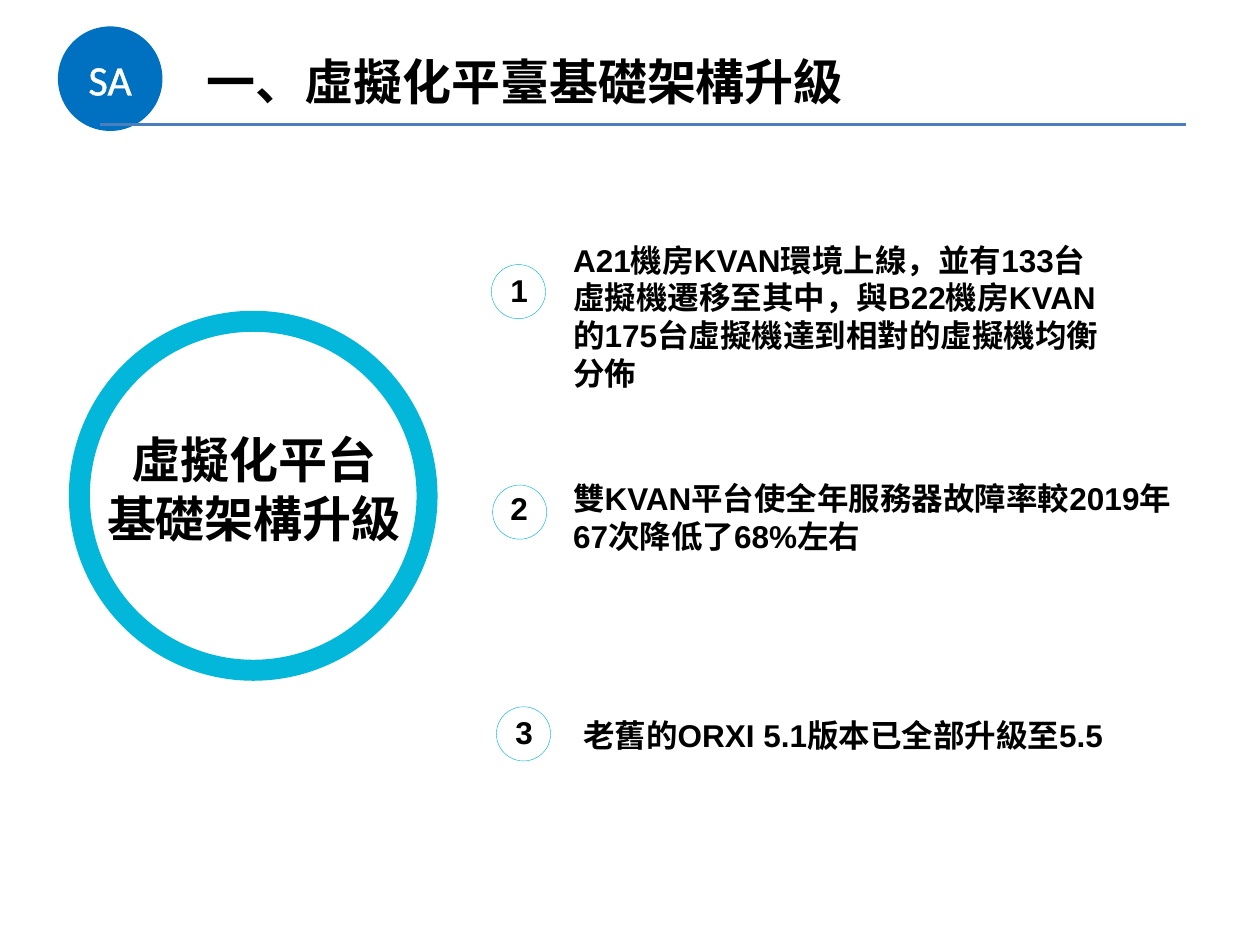
from lxml import etree
from pptx import Presentation
from pptx.dml.color import RGBColor
from pptx.enum.shapes import MSO_CONNECTOR as Connector, MSO_SHAPE as Shape
from pptx.enum.text import MSO_ANCHOR as Anchor, MSO_AUTO_SIZE as AutoSize, PP_ALIGN as Align
from pptx.oxml.ns import qn
from pptx.util import Inches, Pt

BLACK = RGBColor(0x00, 0x00, 0x00)
WHITE = RGBColor(0xFF, 0xFF, 0xFF)
BADGE_BLUE = RGBColor(0x00, 0x70, 0xC0)
RULE_BLUE = RGBColor(0x4B, 0x7E, 0xBC)
CYAN = RGBColor(0x03, 0xB7, 0xDB)
CJK_FONT = "Noto Sans CJK TC"

BADGE_FONT = {"name": "Calibri", "size": Pt(24), "bold": False}
HEADING_FONT = {"name": "Arial", "size": Pt(28), "bold": True}
BODY_FONT = {"name": "Arial", "size": Pt(18), "bold": True}
CIRCLE_SIZE = 0.43

# Circle position, number position, text position and width, number, text
POINTS = [
    ((3.9, 2.1), (3.95, 2.1), (4.45, 1.86, 4.41, 1.62), "1",
     "A21機房KVAN環境上線，並有133台虛擬機遷移至其中，與B22機房KVAN的175台虛擬機達到相對的虛擬機均衡分佈"),
    ((3.91, 3.85), (3.95, 3.83), (4.45, 3.75, 5.04, 0.71), "2",
     "雙KVAN平台使全年服務器故障率較2019年67次降低了68%左右"),
    ((3.94, 5.61), (3.99, 5.61), (4.53, 5.63, 5.04, 0.4), "3",
     "老舊的ORXI 5.1版本已全部升級至5.5"),
]


def set_format(target, values):
    for name, value in values.items():
        setattr(target, name, value)


def add_run(paragraph, text, font_values, color=BLACK):
    run = paragraph.add_run()
    run.text = text
    set_format(run.font, font_values)
    run.font.color.rgb = color
    east_asian = etree.SubElement(run.font._element, qn("a:ea"))
    east_asian.set("typeface", CJK_FONT)
    return run


def add_text_outline(run, color, width):
    outline = etree.Element(qn("a:ln"), w=str(Pt(width)))
    fill = etree.SubElement(outline, qn("a:solidFill"))
    etree.SubElement(fill, qn("a:srgbClr"), val=str(color))
    run.font._element.insert(0, outline)


def add_circle(slide, left, top, width, height, fill=None, line=None, line_width=0):
    circle = slide.shapes.add_shape(
        Shape.OVAL, Inches(left), Inches(top), Inches(width), Inches(height))
    circle.shadow.inherit = False
    if fill is None:
        circle.fill.background()
    else:
        circle.fill.solid()
        circle.fill.fore_color.rgb = fill
    if line is None:
        circle.line.fill.background()
    else:
        circle.line.color.rgb = line
        circle.line.width = Pt(line_width)
    return circle


def add_text(slide, box, lines, font_values, align=Align.LEFT, wrap=True):
    text_box = slide.shapes.add_textbox(*map(Inches, box))
    frame = text_box.text_frame
    set_format(frame, {"word_wrap": wrap, "auto_size": AutoSize.SHAPE_TO_FIT_TEXT})
    for index, line in enumerate(lines):
        paragraph = frame.add_paragraph() if index else frame.paragraphs[0]
        paragraph.alignment = align
        add_run(paragraph, line, font_values)


def add_title(slide):
    title = slide.shapes.title
    set_format(title, {"left": Inches(1.54), "top": Inches(0.36),
                       "width": Inches(7.17), "height": Inches(0.57)})
    frame = title.text_frame
    set_format(frame, {"word_wrap": True, "vertical_anchor": Anchor.TOP,
                       "auto_size": AutoSize.SHAPE_TO_FIT_TEXT})
    paragraph = frame.paragraphs[0]
    paragraph.alignment = Align.LEFT
    add_run(paragraph, "一、", HEADING_FONT)
    add_run(paragraph, "虛擬化平臺基礎架構升級", {**HEADING_FONT, "name": CJK_FONT})


def add_badge(slide):
    badge = add_circle(slide, 0.46, 0.21, 0.83, 0.83, fill=BADGE_BLUE)
    frame = badge.text_frame
    set_format(frame, {"vertical_anchor": Anchor.MIDDLE, "word_wrap": True})
    paragraph = frame.paragraphs[0]
    paragraph.alignment = Align.CENTER
    run = add_run(paragraph, "SA", BADGE_FONT, WHITE)
    add_text_outline(run, WHITE, 1.45)


def add_rule(slide):
    rule = slide.shapes.add_connector(
        Connector.STRAIGHT, Inches(0.79), Inches(0.99), Inches(9.41), Inches(0.99))
    rule.line.color.rgb = RULE_BLUE
    rule.line.width = Pt(2)
    etree.SubElement(rule._element.spPr, qn("a:effectLst"))


def add_point(slide, circle_at, number_at, text_box, number, text):
    add_circle(slide, *circle_at, CIRCLE_SIZE, CIRCLE_SIZE, line=CYAN, line_width=0.25)
    add_text(slide, (*number_at, 0.34, 0.4), [number], BODY_FONT, Align.CENTER, wrap=False)
    add_text(slide, text_box, [text], BODY_FONT)


def main():
    presentation = Presentation()
    presentation.slide_width = Inches(10)
    presentation.slide_height = Inches(7.5)
    slide = presentation.slides.add_slide(presentation.slide_layouts[5])

    # Header
    add_badge(slide)
    add_rule(slide)
    add_title(slide)

    # Topic ring
    add_circle(slide, 0.63, 2.55, 2.76, 2.77, line=CYAN, line_width=12)
    add_text(slide, (0.73, 3.36, 2.57, 1.04), ["虛擬化平台", "基礎架構升級"],
             HEADING_FONT, Align.CENTER, wrap=False)

    # Numbered points
    for point in POINTS:
        add_point(slide, *point)

    presentation.save("out.pptx")


if __name__ == "__main__":
    main()
